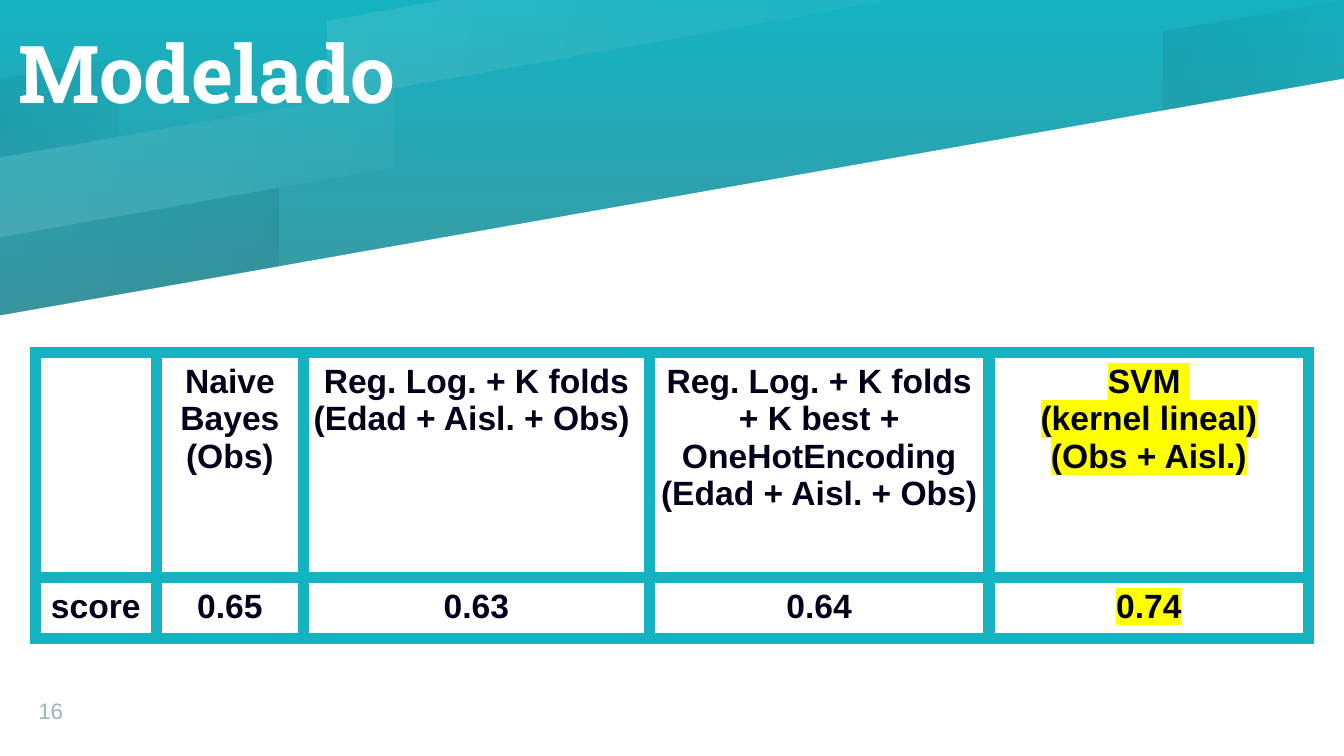
from lxml.etree import SubElement
from pptx import Presentation
from pptx.dml.color import RGBColor
from pptx.enum.text import MSO_ANCHOR as Anchor, PP_ALIGN as Align
from pptx.oxml import parse_xml
from pptx.oxml.ns import nsdecls, qn
from pptx.util import Inches, Pt

TEAL, WHITE, INK, YELLOW = "15B2C1", "FFFFFF", "00001A", "FFFF00"

# Translucent bands: outline, colour, opacity in percent at both ends
BANDS = [
    ([(4.42, 0), (3.25, 0.21), (3.25, 0.99), (8.87, 0)], WHITE, (11, 4)),
    ([(0, 0.78), (0, 1.56), (1.17, 1.36), (1.17, 0.57)], INK, (7, 2)),
    ([(0, 2.35), (0, 3.13), (2.76, 2.65), (2.76, 1.86)], INK, (2, 7)),
    ([(13.33, 0), (11.54, 0.31), (11.54, 1.1), (13.33, 0.78)], INK, (7, 2)),
    ([(0, 1.56), (0, 2.35), (3.91, 1.66), (3.91, 0.88)], WHITE, (11, 4)),
]
COLUMN_WIDTHS = [1.2, 1.46, 3.43, 3.37, 3.17]
ROW_HEIGHTS = [2.23, 0.6]
MODELS = [
    [],
    ["Naive Bayes", "(Obs)"],
    ["Reg. Log. + K folds (Edad + Aisl. + Obs) "],
    ["Reg. Log. + K folds + K best + OneHotEncoding", "(Edad + Aisl. + Obs) "],
    ["SVM ", "(kernel lineal)", "(Obs + Aisl.)"],
]
SCORES = [["score"], ["0.65"], ["0.63"], ["0.64"], ["0.74"]]
BEST_COLUMN = 4


def rgb(color):
    return RGBColor.from_string(color)


def set_gradient(fill, colors, clockwise_angle):
    fill.gradient()
    fill.gradient_angle = 360 - clockwise_angle
    for stop, color in zip(fill.gradient_stops, colors):
        stop.color.rgb = rgb(color)


def add_run(paragraph, text, size, color, font="Arial", bold=False):
    run = paragraph.add_run()
    run.text = text
    run.font.size = Pt(size)
    run.font.name = font
    run.font.bold = bold
    run.font.color.rgb = rgb(color)
    return run


def add_after_fill(run, xml):
    """Put an effect or highlight in its schema place, after the text fill."""
    run.font._element.find(qn("a:solidFill")).addnext(parse_xml(xml))


def add_polygon(slide, points):
    corners = [(Inches(x), Inches(y)) for x, y in points]
    builder = slide.shapes.build_freeform(*corners[0], scale=1.0)
    builder.add_line_segments(corners[1:], close=True)
    polygon = builder.convert_to_shape()
    polygon.shadow.inherit = False
    polygon.line.fill.background()
    return polygon


def add_backdrop(slide, width, height):
    set_gradient(slide.background.fill, (TEAL, "737373"), 90)
    page = add_polygon(slide, [(0, height), (width, height), (width, 0.78), (0, 3.13)])
    page.fill.solid()
    page.fill.fore_color.rgb = rgb(WHITE)
    for outline, color, opacities in BANDS:
        band = add_polygon(slide, outline)
        set_gradient(band.fill, (color, color), 10)
        stops = band._element.spPr.iter(qn("a:srgbClr"))
        for stop, opacity in zip(stops, opacities):
            SubElement(stop, qn("a:alpha")).set("val", str(opacity * 1000))


def add_text_frame(slide, left, top, width, height, anchor):
    box = slide.shapes.add_textbox(*map(Inches, (left, top, width, height)))
    frame = box.text_frame
    frame.word_wrap = True
    frame.vertical_anchor = anchor
    frame.margin_left = frame.margin_right = frame.margin_top = frame.margin_bottom = 0
    return frame


def add_title(slide, left, top, width, height):
    paragraph = add_text_frame(slide, left, top, width, height, Anchor.MIDDLE).paragraphs[0]
    paragraph.line_spacing = 0.9
    title = add_run(paragraph, "Modelado", 57, WHITE, "Roboto Slab", bold=True)
    add_after_fill(title, f'<a:effectLst {nsdecls("a")}>'
                   '<a:outerShdw blurRad="38100" dist="38100" dir="2700000" algn="tl">'
                   '<a:srgbClr val="000000"><a:alpha val="30000"/></a:srgbClr>'
                   '</a:outerShdw></a:effectLst>')


def add_page_number(slide, left, top, width, height):
    frame = add_text_frame(slide, left, top, width, height, Anchor.BOTTOM)
    add_run(frame.paragraphs[0], "16", 16, "9EB3C2")


def set_borders(cell, color, points):
    properties = cell._tc.get_or_add_tcPr()
    for position, side in enumerate("LRTB"):
        properties.insert(position, parse_xml(
            f'<a:ln{side} {nsdecls("a")} w="{Pt(points)}"><a:solidFill>'
            f'<a:srgbClr val="{color}"/></a:solidFill></a:ln{side}>'))


def fill_cell(cell, lines, highlighted):
    cell.fill.background()
    set_borders(cell, TEAL, 9)
    cell.margin_left = cell.margin_right = Inches(0.1)
    cell.margin_top = cell.margin_bottom = Inches(0.1)
    frame = cell.text_frame
    for index, line in enumerate(lines):
        paragraph = frame.add_paragraph() if index else frame.paragraphs[0]
        paragraph.alignment = Align.CENTER
        run = add_run(paragraph, line, 24, INK, bold=True)
        if highlighted:
            add_after_fill(run, f'<a:highlight {nsdecls("a")}>'
                           f'<a:srgbClr val="{YELLOW}"/></a:highlight>')


def add_score_table(slide, left, top):
    size = (left, top, sum(COLUMN_WIDTHS), sum(ROW_HEIGHTS))
    table = slide.shapes.add_table(
        len(ROW_HEIGHTS), len(COLUMN_WIDTHS), *map(Inches, size)).table
    table.first_row = table.horz_banding = False
    for column, width in zip(table.columns, COLUMN_WIDTHS):
        column.width = Inches(width)
    for row, height, contents in zip(table.rows, ROW_HEIGHTS, (MODELS, SCORES)):
        row.height = Inches(height)
        for index, (cell, lines) in enumerate(zip(row.cells, contents)):
            fill_cell(cell, lines, index == BEST_COLUMN)


def main():
    presentation = Presentation()
    presentation.slide_width = Inches(13.33)
    presentation.slide_height = Inches(7.5)
    slide = presentation.slides.add_slide(presentation.slide_layouts[6])
    add_backdrop(slide, 13.33, 7.5)
    add_page_number(slide, 0.38, 6.82, 0.7, 0.36)
    add_title(slide, 0.18, 0.12, 9.63, 1.31)
    add_score_table(slide, 0.35, 3.5)
    presentation.save("out.pptx")


if __name__ == "__main__":
    main()
